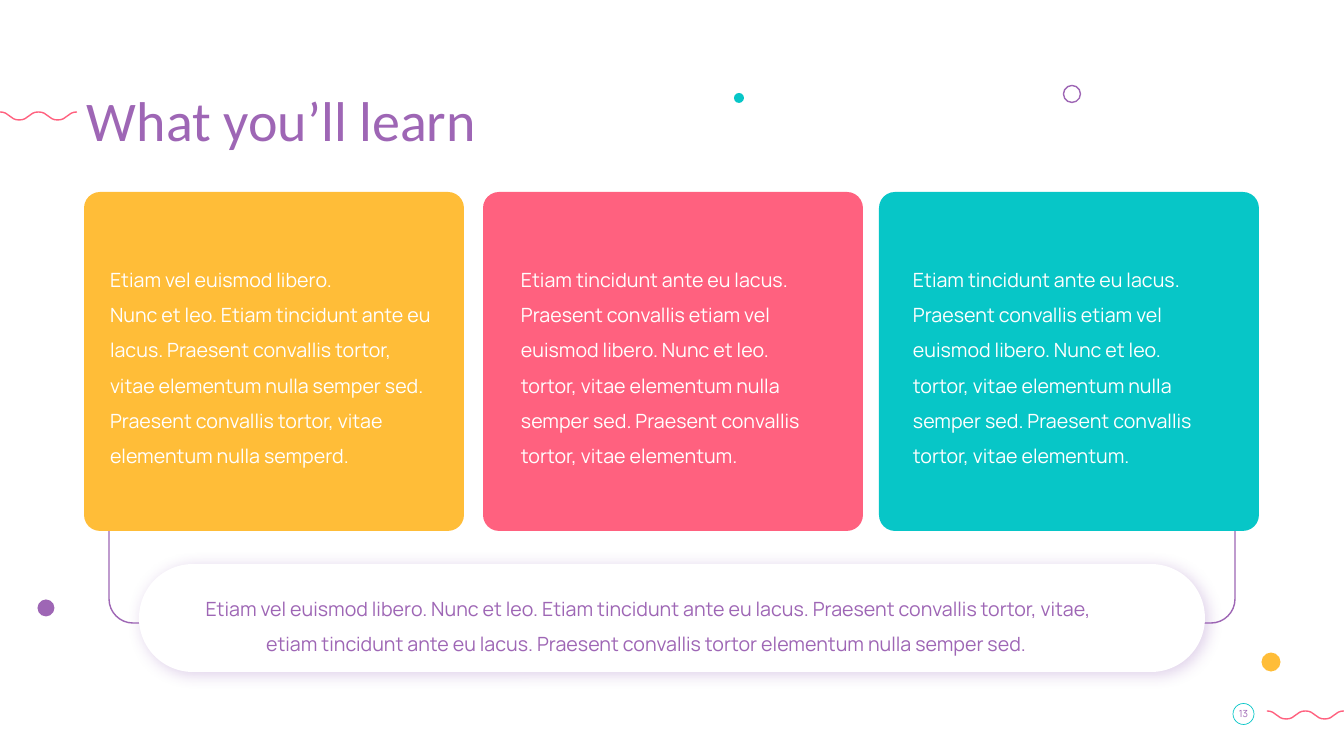
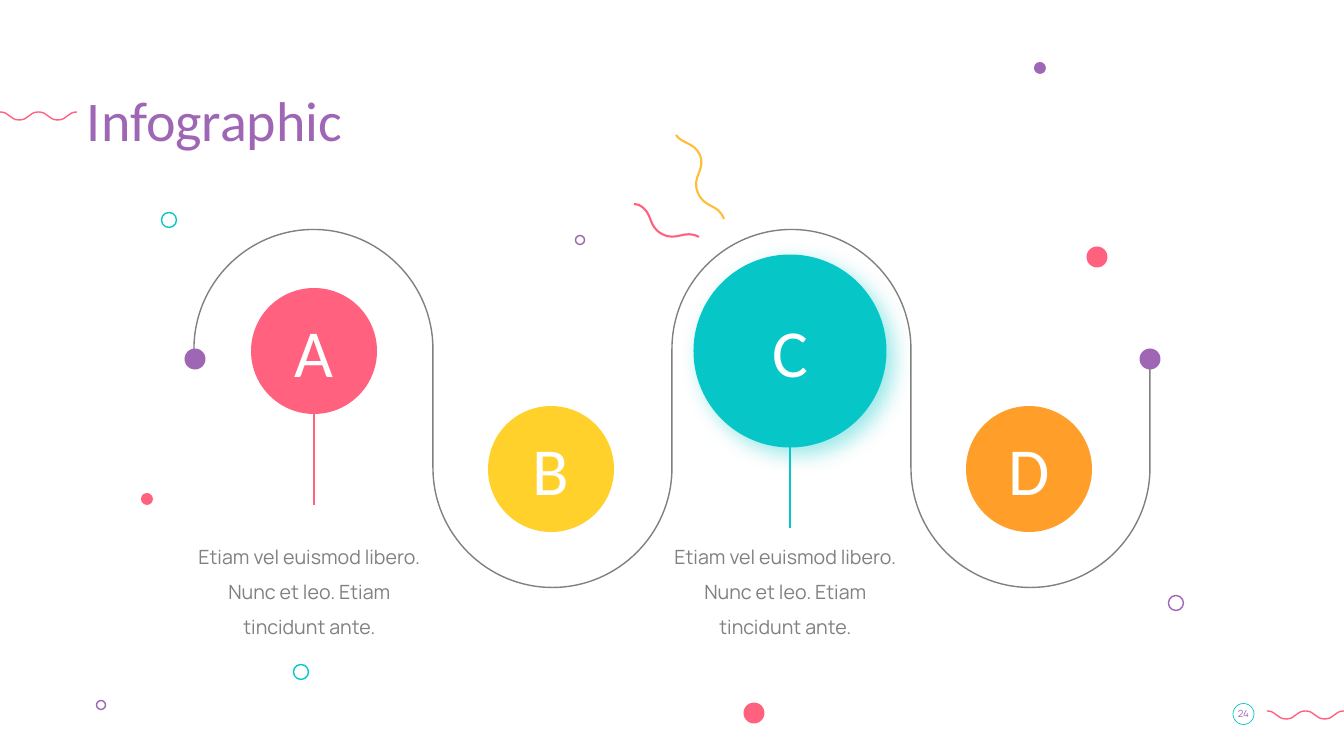
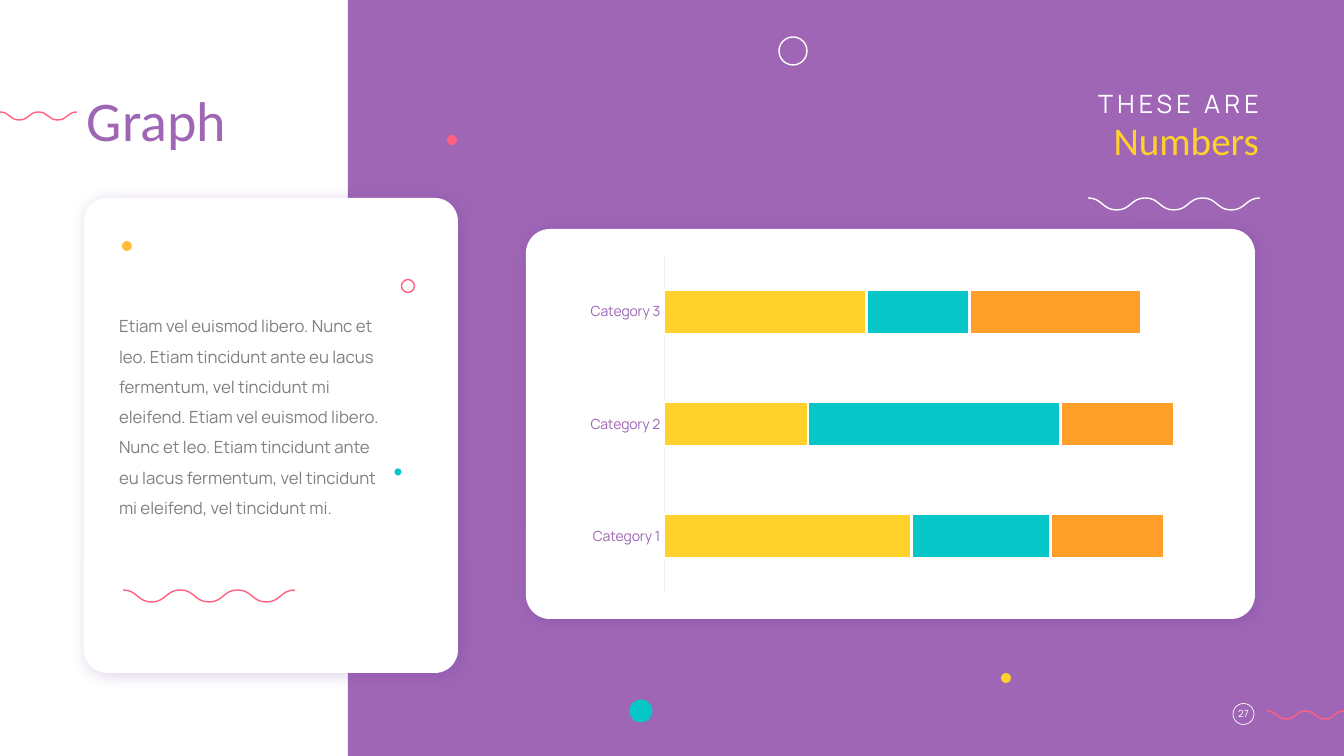
import dataclasses
import typing

import lxml.etree
import copy
import pptx
import pptx.chart.data
import pptx.dml.color
import pptx.enum.chart
import pptx.enum.shapes
import pptx.enum.text
import pptx.oxml.ns
import pptx.util

Point = tuple[float, float]
Segment = tuple[Point, ...]  # one point: straight; three points: two controls and the end
SHAPE = pptx.enum.shapes.MSO_SHAPE
ALIGN = pptx.enum.text.PP_ALIGN
ANCHOR = pptx.enum.text.MSO_ANCHOR
qn = pptx.oxml.ns.qn

WIDTH, HEIGHT = 1344, 756
EMU_PER_PX = 12192000 / WIDTH


@dataclasses.dataclass(frozen=True)
class Theme:
    purple: str = "9E66B5"
    pink: str = "FF617F"
    teal: str = "07C6C7"
    amber: str = "FFBD38"
    yellow: str = "FFD12A"
    orange: str = "FF9F2A"
    grey: str = "808080"
    pale: str = "ECECEC"
    white: str = "FFFFFF"
    shade: str = "7030A0"
    heading: str = "Calibri"
    body: str = "Manrope"
    title_size: int = 40
    letter_size: int = 48
    accent_size: int = 28
    kicker_size: int = 18
    text_size: int = 14
    small_size: int = 12
    label_size: int = 10
    number_size: int = 7


THEME = Theme()


class Box(typing.NamedTuple):
    left: float
    top: float
    width: float
    height: float


class Shadow(typing.NamedTuple):
    colour: str
    alpha: int
    blur: int
    distance: int


CARD_SHADOW = Shadow(THEME.shade, 22, 11, 2)
GLOW = Shadow(THEME.teal, 40, 15, 7)


@dataclasses.dataclass(frozen=True)
class Dot:
    x: int
    y: int
    size: int
    colour: str
    ring: bool = False


@dataclasses.dataclass(frozen=True)
class Style:
    size: int
    colour: str
    font: str = THEME.body
    align: typing.Any = ALIGN.LEFT
    leading: float = 1.0
    before: int = 0
    tracking: int = 0


@dataclasses.dataclass(frozen=True)
class Card:
    left: int
    colour: str
    text_box: Box
    text: str


@dataclasses.dataclass(frozen=True)
class Letter:
    text: str
    x: int
    y: int
    size: int
    colour: str
    shadow: Shadow | None = None


# Basic helpers
def px(value: float) -> pptx.util.Emu:
    return pptx.util.Emu(round(value * EMU_PER_PX))


def rgb(colour: str) -> pptx.dml.color.RGBColor:
    return pptx.dml.color.RGBColor.from_string(colour)


def set_values(target: typing.Any, values: dict[str, typing.Any]) -> None:
    for name, value in values.items():
        setattr(target, name, value)


def set_fill(target: typing.Any, colour: str | None) -> None:
    if colour is None:
        target.fill.background()
    else:
        target.fill.solid()
        target.fill.fore_color.rgb = rgb(colour)


def set_line(line: typing.Any, colour: str | None, weight: float = 1) -> None:
    if colour is None:
        line.fill.background()
    else:
        line.color.rgb = rgb(colour)
        line.width = pptx.util.Pt(weight)


# Text
def write(frame: typing.Any, text: str, style: Style) -> None:
    para = frame.paragraphs[0]
    set_values(para, {"text": text, "alignment": style.align, "line_spacing": style.leading,
                      "space_before": pptx.util.Pt(style.before)})
    for span in para.runs:
        set_values(span.font, {"name": style.font, "size": pptx.util.Pt(style.size)})
        span.font.color.rgb = rgb(style.colour)
        if style.tracking:
            span.font._element.set("spc", str(style.tracking * 100))
    # Line breaks take the format of the text around them
    for line_break in para._p.findall(qn("a:br")):
        line_break.insert(0, copy.deepcopy(para.runs[0].font._element))


def add_text(page: typing.Any, box: Box, text: str, style: Style,
             anchor: typing.Any = ANCHOR.TOP, right_inset: int = 10) -> None:
    frame = page.shapes.add_textbox(*map(px, box)).text_frame
    set_values(frame, {"word_wrap": True, "vertical_anchor": anchor,
                       "margin_left": 0, "margin_right": px(right_inset),
                       "margin_top": px(5), "margin_bottom": px(5)})
    write(frame, text, style)


# Shapes
def add_shape(page: typing.Any, kind: typing.Any, box: Box, fill: str | None,
              line: str | None = None, weight: float = 1,
              shadow: Shadow | None = None) -> typing.Any:
    shape = page.shapes.add_shape(kind, *map(px, box))
    shape.shadow.inherit = False
    set_fill(shape, fill)
    set_line(shape.line, line, weight)
    if shadow:
        effects = shape._element.spPr.find(qn("a:effectLst"))
        outer = lxml.etree.SubElement(
            effects, qn("a:outerShdw"), blurRad=str(shadow.blur * 12700),
            dist=str(shadow.distance * 12700), dir=str(45 * 60000), algn="tl", rotWithShape="0")
        colour = lxml.etree.SubElement(outer, qn("a:srgbClr"), val=shadow.colour)
        lxml.etree.SubElement(colour, qn("a:alpha"), val=str(shadow.alpha * 1000))
    return shape


def add_card(page: typing.Any, box: Box, radius: float, fill: str,
             shadow: Shadow | None = None) -> None:
    shape = add_shape(page, SHAPE.ROUNDED_RECTANGLE, box, fill, shadow=shadow)
    shape.adjustments[0] = radius / min(box.width, box.height)


def circle_box(x: float, y: float, size: float) -> Box:
    return Box(x - size / 2, y - size / 2, size, size)


def add_dots(page: typing.Any, dots: typing.Iterable[Dot]) -> None:
    for dot in dots:
        fill, line = (None, dot.colour) if dot.ring else (dot.colour, None)
        add_shape(page, SHAPE.OVAL, circle_box(dot.x, dot.y, dot.size), fill, line)


# Curves
def bend(start: Point, corner: Point, end: Point) -> Segment:
    """A quarter circle from start to end, tangent to the lines through corner."""
    first, second = (tuple(a + 0.55 * (b - a) for a, b in zip(point, corner))
                     for point in (start, end))
    return first, second, end


def add_path(page: typing.Any, start: Point, segments: list[Segment], colour: str,
             weight: float = 1) -> None:
    builder = page.shapes.build_freeform(px(start[0]), px(start[1]), scale=1.0)
    builder.add_line_segments([(px(x), px(y)) for segment in segments for x, y in segment],
                              close=False)
    shape = builder.convert_to_shape()
    # Each three points of a curved segment become one cubic curve
    lines = iter(list(shape._element.iter(qn("a:lnTo"))))
    for segment in segments:
        parts = [next(lines) for _ in segment]
        if len(parts) == 3:
            cubic = lxml.etree.Element(qn("a:cubicBezTo"))
            parts[0].addprevious(cubic)
            for part in parts:
                cubic.append(part[0])
                part.getparent().remove(part)
    shape.shadow.inherit = False
    set_fill(shape, None)
    set_line(shape.line, colour, weight)


def add_wave(page: typing.Any, box: Box, halves: int, colour: str) -> None:
    step = box.width / halves
    levels = (box.top, box.top + box.height)
    segments = []
    for i in range(halves):
        x, y, next_y = box.left + i * step, levels[i % 2], levels[(i + 1) % 2]
        segments.append(((x + step / 2, y), (x + step / 2, next_y), (x + step, next_y)))
    add_path(page, (box.left, box.top), segments, colour)


def add_stem(page: typing.Any, x: int, top: int, bottom: int, colour: str) -> None:
    stem = page.shapes.add_connector(pptx.enum.shapes.MSO_CONNECTOR.STRAIGHT,
                                     px(x), px(top), px(x), px(bottom))
    set_line(stem.line, colour)
    lxml.etree.SubElement(stem._element.spPr, qn("a:effectLst"))


# Title, waves and page number shared by all slides
def add_frame(page: typing.Any, title: str, number: int,
              ring: str = THEME.teal, ink: str = THEME.purple) -> None:
    add_wave(page, Box(0, 112, 77, 8), 4, THEME.pink)
    add_text(page, Box(87, 80, 563, 78), title,
             Style(THEME.title_size, THEME.purple, THEME.heading))
    add_shape(page, SHAPE.OVAL, circle_box(1243.5, 714, 21), None, ring, 0.5)
    add_wave(page, Box(1267, 711, 77, 8), 4, THEME.pink)
    add_text(page, Box(1225, 703, 37, 22), str(number),
             Style(THEME.number_size, ink, align=ALIGN.CENTER), ANCHOR.BOTTOM, 0)


# Slide: three cards above a summary pill
def build_learn(page: typing.Any) -> None:
    tincidunt = ("Etiam tincidunt ante eu lacus. Praesent convallis etiam vel euismod libero. "
                 "Nunc et leo. \ntortor, vitae elementum nulla semper sed. "
                 "Praesent convallis \ntortor, vitae elementum.")
    cards = (
        Card(84, THEME.amber, Box(110, 251, 335, 221),
             "Etiam vel euismod libero. \nNunc et leo. Etiam tincidunt ante eu lacus. "
             "Praesent convallis tortor, vitae elementum nulla semper sed. "
             "Praesent convallis tortor, vitae elementum nulla semperd."),
        Card(483, THEME.pink, Box(521, 251, 321, 221), tincidunt),
        Card(879, THEME.teal, Box(913, 251, 321, 221), tincidunt),
    )
    left, right, top, bottom, radius = 109, 1235, 260, 623, 24
    add_path(page, (right, top), [
        ((right, bottom - radius),),
        bend((right, bottom - radius), (right, bottom), (right - radius, bottom)),
        ((left + radius, bottom),),
        bend((left + radius, bottom), (left, bottom), (left, bottom - radius)),
        ((left, top),)], THEME.purple)
    for card in cards:
        add_card(page, Box(card.left, 192, 380, 339), 16, card.colour)
    add_card(page, Box(139, 564, 1066, 108), 54, THEME.white, CARD_SHADOW)
    for card in cards:
        add_text(page, card.text_box, card.text,
                 Style(THEME.text_size, THEME.white, leading=1.5))
    add_text(page, Box(184, 580, 939, 75),
             "Etiam vel euismod libero. Nunc et leo. Etiam tincidunt ante eu lacus. "
             "Praesent convallis tortor, vitae, etiam tincidunt ante eu lacus. "
             "Praesent convallis tortor elementum nulla semper sed. ",
             Style(THEME.text_size, THEME.purple, align=ALIGN.CENTER, leading=1.5))
    add_dots(page, (
        Dot(46, 608, 17, THEME.purple), Dot(739, 98, 10, THEME.teal),
        Dot(1271, 662, 19, THEME.amber), Dot(1072, 94, 17, THEME.purple, ring=True)))
    add_frame(page, "What you’ll learn", 13)


# Slide: winding line with four lettered circles
def build_infographic(page: typing.Any) -> None:
    pitch, upper, lower = 239, 349, 468
    radius = pitch / 2
    for i in range(4):
        left = 194 + i * pitch
        middle, right = left + radius, left + pitch
        start, end, peak = ((upper, lower, upper - radius) if i % 2 == 0
                            else (lower, upper, lower + radius))
        add_path(page, (left, start), [
            bend((left, start), (left, peak), (middle, peak)),
            bend((middle, peak), (right, peak), (right, start)),
            ((right, end),)], THEME.grey)
    for letter in (Letter("A", 314, 351, 126, THEME.pink),
                   Letter("B", 551, 469, 126, THEME.yellow),
                   Letter("C", 790, 351, 193, THEME.teal, GLOW),
                   Letter("D", 1029, 469, 126, THEME.orange)):
        shape = add_shape(page, SHAPE.OVAL, circle_box(letter.x, letter.y, letter.size),
                          letter.colour, shadow=letter.shadow)
        shape.text_frame.vertical_anchor = ANCHOR.MIDDLE
        write(shape.text_frame, letter.text,
              Style(THEME.letter_size, THEME.white, THEME.heading, ALIGN.CENTER))
    add_stem(page, 314, 414, 505, THEME.pink)
    add_stem(page, 790, 447, 528, THEME.teal)
    for left in (195, 671):
        add_text(page, Box(left, 528, 239, 119),
                 "Etiam vel euismod libero. Nunc et leo. Etiam tincidunt ante.",
                 Style(THEME.text_size, THEME.grey, align=ALIGN.CENTER, leading=1.5, before=10))
    add_dots(page, (
        Dot(195, 359, 21, THEME.purple), Dot(1150, 359, 21, THEME.purple),
        Dot(301, 672, 15, THEME.teal, ring=True), Dot(147, 499, 12, THEME.pink),
        Dot(580, 240, 9, THEME.purple, ring=True), Dot(169, 220, 15, THEME.teal, ring=True),
        Dot(1097, 257, 21, THEME.pink), Dot(1176, 603, 15, THEME.purple, ring=True),
        Dot(754, 713, 21, THEME.pink), Dot(101, 705, 9, THEME.purple, ring=True),
        Dot(1040, 68, 12, THEME.purple)))
    # Streamers
    add_path(page, (724, 219), [((718, 203), (705, 209), (698, 193)),
                                ((691, 176), (706, 171), (700, 155)),
                                ((694, 142), (682, 144), (676, 135))], THEME.amber, 1.5)
    add_path(page, (699, 237), [((684, 229), (677, 242), (662, 234)),
                                ((647, 226), (654, 213), (639, 205)),
                                ((637, 205), (636, 204), (634, 204))], THEME.pink, 1.5)
    add_frame(page, "Infographic", 24)


# Stacked bars on the graph slide
def add_bars(page: typing.Any, box: Box) -> None:
    data = pptx.chart.data.CategoryChartData()
    data.categories = ["Category 1", "Category 2", "Category 3"]
    data.add_series("Series 1", (98, 57, 80))
    data.add_series("Series 2", (55, 100, 41))
    data.add_series("Series 3", (45, 45, 68))
    chart = page.shapes.add_chart(pptx.enum.chart.XL_CHART_TYPE.BAR_STACKED,
                                  *map(px, box), data).chart
    set_values(chart, {"has_legend": False, "has_title": False})
    set_values(chart.font, {"name": THEME.body, "size": pptx.util.Pt(THEME.label_size)})
    plot = chart.plots[0]
    set_values(plot, {"gap_width": 150, "overlap": 100, "vary_by_categories": False})
    for series, colour in zip(plot.series, (THEME.yellow, THEME.teal, THEME.orange)):
        series.invert_if_negative = False
        set_fill(series.format, colour)
        set_line(series.format.line, THEME.white, 2)
    set_values(chart.value_axis, {"visible": False, "has_major_gridlines": False,
                                  "minimum_scale": 0, "maximum_scale": 227})
    axis = chart.category_axis
    set_values(axis, {"major_tick_mark": pptx.enum.chart.XL_TICK_MARK.NONE,
                      "has_major_gridlines": False})
    set_line(axis.format.line, THEME.pale, 0.75)
    labels = axis.tick_labels.font
    set_values(labels, {"name": THEME.body, "size": pptx.util.Pt(THEME.label_size)})
    labels.color.rgb = rgb(THEME.purple)
    # Fixed inner plot area
    area = chart._chartSpace.find(".//" + qn("c:plotArea"))
    for old in area.findall(qn("c:layout")):
        area.remove(old)
    layout = lxml.etree.Element(qn("c:layout"))
    area.insert(0, layout)
    manual = lxml.etree.SubElement(layout, qn("c:manualLayout"))
    for tag, value in {"layoutTarget": "inner", "xMode": "edge", "yMode": "edge",
                       "x": "0.18", "y": "0.04", "w": "0.8", "h": "0.92"}.items():
        lxml.etree.SubElement(manual, qn("c:" + tag), val=value)


# Slide: text card and chart card over a purple panel
def build_graph(page: typing.Any) -> None:
    add_shape(page, SHAPE.RECTANGLE, Box(348, 0, 996, HEIGHT), THEME.purple)
    add_card(page, Box(526, 229, 729, 390), 24, THEME.white, CARD_SHADOW)
    add_text(page, Box(674, 111, 595, 57), "Numbers",
             Style(THEME.accent_size, THEME.yellow, THEME.heading, ALIGN.RIGHT))
    add_text(page, Box(674, 83, 595, 40), "THESE ARE",
             Style(THEME.kicker_size, THEME.white, align=ALIGN.RIGHT, tracking=3))
    add_card(page, Box(84, 198, 374, 475), 23, THEME.white, CARD_SHADOW)
    add_text(page, Box(119, 301, 276, 282),
             "Etiam vel euismod libero. Nunc et leo. Etiam tincidunt ante eu lacus fermentum, "
             "vel tincidunt mi eleifend. Etiam vel euismod libero. Nunc et leo. Etiam tincidunt "
             "ante eu lacus fermentum, vel tincidunt mi eleifend, vel tincidunt mi.",
             Style(THEME.small_size, THEME.grey, leading=1.5))
    add_dots(page, (
        Dot(408, 286, 13, THEME.pink, ring=True), Dot(398, 472, 7, THEME.teal),
        Dot(127, 246, 10, THEME.amber), Dot(452, 140, 10, THEME.pink),
        Dot(1006, 678, 10, THEME.yellow), Dot(793, 51, 28, THEME.white, ring=True),
        Dot(641, 711, 23, THEME.teal)))
    add_bars(page, Box(535, 241, 717, 366))
    add_wave(page, Box(1088, 198, 172, 12), 6, THEME.white)
    add_wave(page, Box(123, 590, 172, 12), 6, THEME.pink)
    add_frame(page, "Graph", 27, THEME.white, THEME.white)


def main() -> None:
    deck = pptx.Presentation()
    set_values(deck, {"slide_width": px(WIDTH), "slide_height": px(HEIGHT)})
    for build in (build_learn, build_infographic, build_graph):
        build(deck.slides.add_slide(deck.slide_layouts[6]))
    deck.save("out.pptx")


if __name__ == "__main__":
    main()
